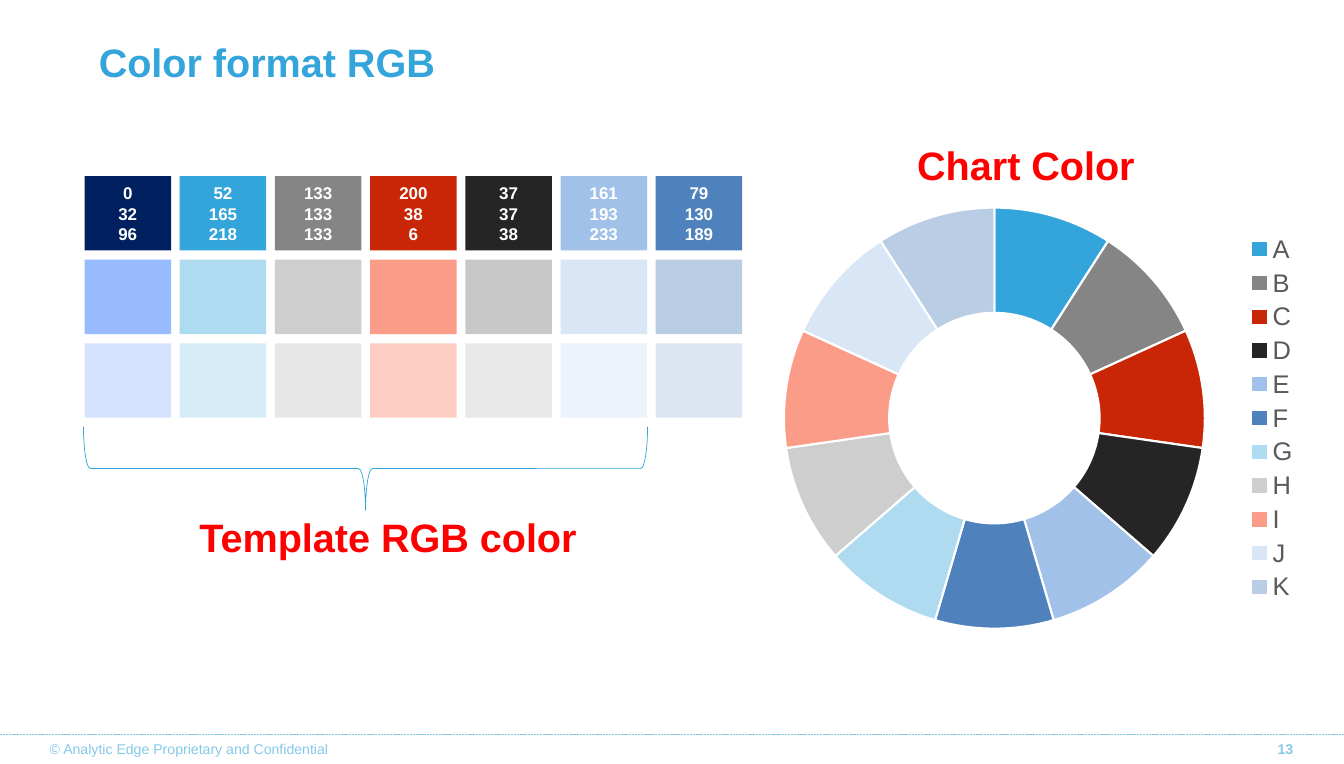
from dataclasses import dataclass

from lxml import etree
from pptx import Presentation, util as u
from pptx.chart import data
from pptx.dml import color
from pptx.enum import chart as ch, dml, shapes, text
from pptx.oxml import ns

COLS, ROWS = 132, 75


@dataclass(frozen=True)
class Theme:
    font: str = "Arial"
    blue: str = "34A5DA"
    pale: str = "85C9E9"
    red: str = "FF0000"
    white: str = "FFFFFF"
    gray: str = "595959"
    head: float = 28
    key: float = 18
    code: float = 12
    foot: float = 10
    thin: float = 0.5
    edge: float = 1.5


@dataclass(frozen=True)
class Box:
    col: float
    row: float
    wide: float
    high: float


@dataclass(frozen=True)
class Hue:
    base: str
    light: str
    faint: str


@dataclass(frozen=True)
class Label:
    words: str
    box: Box
    size: float
    tint: str
    bold: bool = True
    side: text.PP_ALIGN = text.PP_ALIGN.LEFT


THEME = Theme()
HUES = [
    Hue("002060", "98BAFF", "D6E3FF"),
    Hue("34A5DA", "AEDBF0", "D6EDF8"),
    Hue("858585", "CECECE", "E7E7E7"),
    Hue("C82606", "FB9C89", "FDCDC4"),
    Hue("252526", "C8C8C9", "E9E9EA"),
    Hue("A1C1E9", "D9E6F6", "ECF3FB"),
    Hue("4F82BD", "B9CDE5", "DCE6F2"),
]
FIRST = Box(8.3, 17.3, 8.5, 7.3)
STEP_X, STEP_Y = 9.35, 8.2
TITLE = Label("Color format RGB", Box(8.7, 1.8, 110.6, 8.6), THEME.head, THEME.blue)
HEADS = [
    Label("Chart Color", Box(89.1, 13.3, 23.6, 5.7), THEME.head, THEME.red),
    Label("Template RGB color", Box(18.6, 49.9, 39.5, 5.7), THEME.head, THEME.red),
]
FEET = [
    Label("© Analytic Edge Proprietary and Confidential", Box(3.9, 72.4, 81.1, 2.2),
          THEME.foot, THEME.pale, bold=False),
    Label("13", Box(117.5, 72.4, 10.5, 2.2), THEME.foot, THEME.pale,
          side=text.PP_ALIGN.RIGHT),
]
RING = Box(73.2, 19, 55.4, 44.1)
BRACE = Box(31.8, 18.3, 8.2, 55.4)
RULE_ROW = 72.1

deck = Presentation()
deck.slide_width, deck.slide_height = u.Inches(13.2), u.Inches(7.5)
slide = deck.slides.add_slide(deck.slide_layouts[5])


def across(cols: float) -> int:
    return round(deck.slide_width * cols / COLS)


def down(rows: float) -> int:
    return round(deck.slide_height * rows / ROWS)


def place(box: Box) -> tuple[int, int, int, int]:
    return across(box.col), down(box.row), across(box.wide), down(box.high)


def rgb(code: str) -> color.RGBColor:
    return color.RGBColor.from_string(code)


def style(font, size: float, tint: str, bold: bool = False) -> None:
    font.name, font.size, font.bold = THEME.font, u.Pt(size), bold
    font.color.rgb = rgb(tint)


def write(para, label: Label) -> None:
    para.alignment = label.side
    run = para.add_run()
    run.text = label.words
    style(run.font, label.size, label.tint, label.bold)


def draw_title(label: Label) -> None:
    title = slide.shapes.title
    title.left, title.top, title.width, title.height = place(label.box)
    frame = title.text_frame
    frame.auto_size = text.MSO_AUTO_SIZE.NONE
    frame.vertical_anchor = text.MSO_ANCHOR.MIDDLE
    write(frame.paragraphs[0], label)


def draw_head(label: Label) -> None:
    frame = slide.shapes.add_textbox(*place(label.box)).text_frame
    frame.word_wrap = False
    frame.auto_size = text.MSO_AUTO_SIZE.SHAPE_TO_FIT_TEXT
    write(frame.paragraphs[0], label)


def draw_foot(label: Label) -> None:
    frame = slide.shapes.add_textbox(*place(label.box)).text_frame
    frame.word_wrap = True
    frame.margin_top = frame.margin_bottom = 0
    frame.vertical_anchor = text.MSO_ANCHOR.MIDDLE
    write(frame.paragraphs[0], label)


def draw_rule() -> None:
    y = down(RULE_ROW)
    rule = slide.shapes.add_connector(shapes.MSO_CONNECTOR.STRAIGHT, 0, y, across(COLS), y)
    rule.line.color.rgb = rgb(THEME.pale)
    rule.line.width = u.Pt(THEME.thin)
    rule.line.dash_style = dml.MSO_LINE.SQUARE_DOT
    etree.SubElement(rule._element.spPr, ns.qn("a:effectLst"))


def draw_swatch(box: Box, tint: str, coded: bool) -> None:
    tile = slide.shapes.add_shape(shapes.MSO_SHAPE.RECTANGLE, *place(box))
    tile.shadow.inherit = False
    tile.fill.solid()
    tile.fill.fore_color.rgb = rgb(tint)
    tile.line.fill.background()
    if not coded:
        return
    frame = tile.text_frame
    frame.vertical_anchor = text.MSO_ANCHOR.MIDDLE
    for i, part in enumerate(rgb(tint)):
        para = frame.add_paragraph() if i else frame.paragraphs[0]
        write(para, Label(str(part), box, THEME.code, THEME.white,
                          side=text.PP_ALIGN.CENTER))


def draw_brace(box: Box) -> None:
    brace = slide.shapes.add_shape(shapes.MSO_SHAPE.RIGHT_BRACE, *place(box))
    brace.rotation = 90
    brace.shadow.inherit = False
    brace.fill.background()
    brace.line.color.rgb = rgb(THEME.blue)
    brace.line.width = u.Pt(THEME.thin)


def draw_ring(box: Box, tints: list[str]) -> None:
    info = data.CategoryChartData()
    info.categories = list("ABCDEFGHIJK")
    info.add_series("Series 1", [9] * len(tints))
    ring = slide.shapes.add_chart(ch.XL_CHART_TYPE.DOUGHNUT, *place(box), info).chart
    ring.font.name, ring.font.size = THEME.font, u.Pt(THEME.foot)
    ring.has_title = False
    ring.has_legend = True
    ring.legend.position = ch.XL_LEGEND_POSITION.RIGHT
    ring.legend.include_in_layout = False
    style(ring.legend.font, THEME.key, THEME.gray)
    plot = ring.plots[0]
    plot.vary_by_categories = True
    plot._element.find(ns.qn("c:holeSize")).set("val", "48")
    for i, tint in enumerate(tints):
        part = plot.series[0].points[i].format
        part.fill.solid()
        part.fill.fore_color.rgb = rgb(tint)
        part.line.color.rgb = rgb(THEME.white)
        part.line.width = u.Pt(THEME.edge)


draw_title(TITLE)
draw_rule()
for foot in FEET:
    draw_foot(foot)
for c, hue in enumerate(HUES):
    for r, tint in enumerate((hue.base, hue.light, hue.faint)):
        spot = Box(FIRST.col + c * STEP_X, FIRST.row + r * STEP_Y, FIRST.wide, FIRST.high)
        draw_swatch(spot, tint, coded=r == 0)
bases = [hue.base for hue in HUES[1:]]
lights = [HUES[i].light for i in (1, 2, 3, 5, 6)]
draw_ring(RING, bases + lights)
draw_brace(BRACE)
for head in HEADS:
    draw_head(head)
deck.save("out.pptx")
